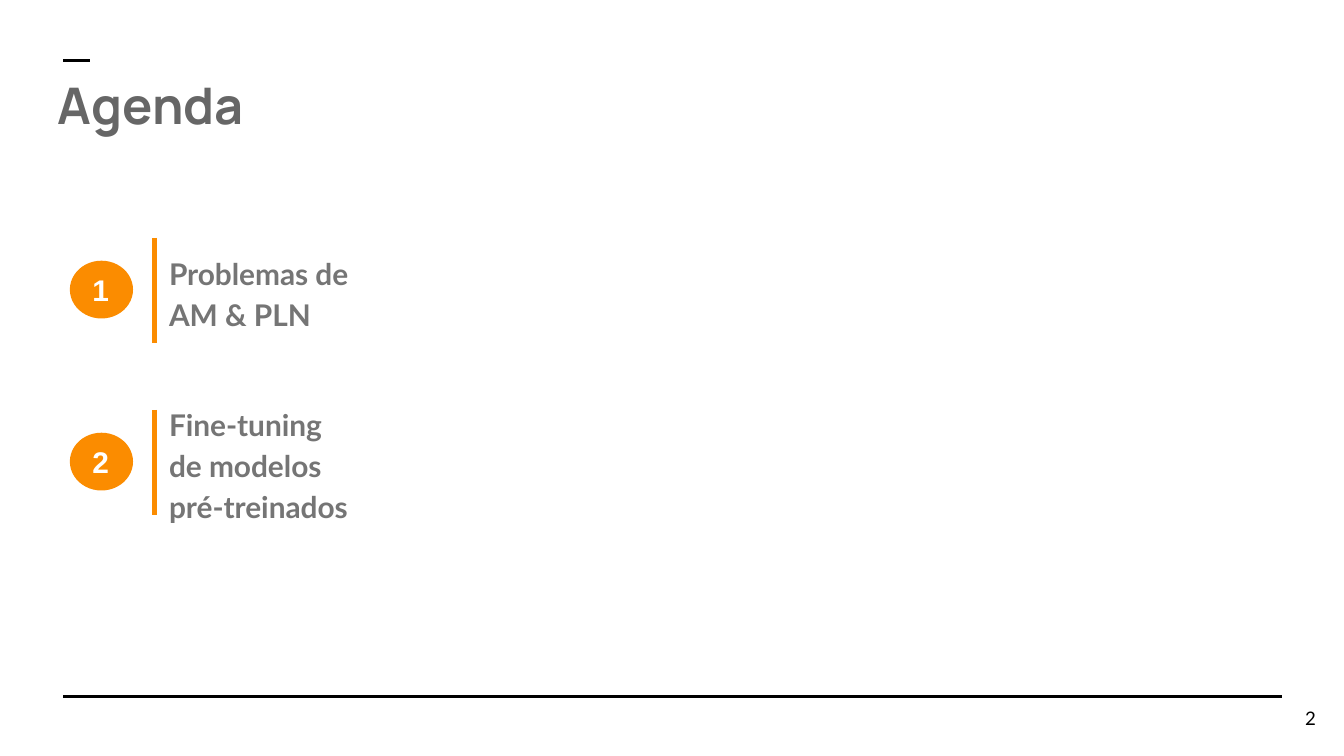
"""Build the agenda slide with two numbered topics."""
from lxml import etree
from pptx import Presentation
from pptx.dml.color import RGBColor
from pptx.enum import shapes, text
from pptx.oxml import ns
from pptx.util import Inches, Pt

COLORS = {
    "rule": "000000",
    "title": "666666",
    "topic": "757575",
    "accent": "FB8C00",
    "number": "FFFFFF",
}


def add_line(x1, y1, x2, y2, color, width):
    line = slide.shapes.add_connector(
        shapes.MSO_CONNECTOR.STRAIGHT, Inches(x1), Inches(y1), Inches(x2), Inches(y2)
    )
    line.line.color.rgb = RGBColor.from_string(COLORS[color])
    line.line.width = Pt(width)
    etree.SubElement(line._element.spPr, ns.qn("a:effectLst"))


def write(shape, words, font, size, color, bold=True, anchor="MIDDLE", align="LEFT"):
    frame = shape.text_frame
    frame.text = words
    frame.word_wrap = True
    frame.vertical_anchor = text.MSO_ANCHOR[anchor]
    frame.margin_left = frame.margin_right = Inches(0.1)
    frame.margin_top = frame.margin_bottom = Inches(0.1)
    paragraph = frame.paragraphs[0]
    paragraph.alignment = text.PP_ALIGN[align]
    run = paragraph.runs[0]
    run.font.name = font
    run.font.size = Pt(size)
    run.font.bold = bold
    run.font.color.rgb = RGBColor.from_string(COLORS[color])
    return paragraph


prs = Presentation()
prs.slide_width = Inches(10)
prs.slide_height = Inches(10 * 9 / 16)
slide = prs.slides.add_slide(prs.slide_layouts[6])

add_line(0.47, 5.18, 9.54, 5.18, "rule", 1.5)
add_line(0.47, 0.45, 0.67, 0.45, "rule", 1.5)

page_number = slide.shapes.add_textbox(Inches(9.29), Inches(5.13), Inches(0.6), Inches(0.43))
write(page_number, "2", "Lato", 10, "rule", bold=False, align="RIGHT")

title = slide.shapes.add_textbox(Inches(0.33), Inches(0.45), Inches(9.32), Inches(0.7))
write(title, "Agenda", "Manrope", 27, "title", anchor="TOP")

topics = [("Problemas de AM & PLN", 1.83), ("Fine-tuning de modelos pré-treinados", 1.54)]
for index, (topic, width) in enumerate(topics):
    top = 1.69 + index * 1.28
    add_line(1.15, top + 0.08, 1.15, top + 0.86, "accent", 3)

    label = slide.shapes.add_textbox(Inches(1.16), Inches(top), Inches(width), Inches(0.95))
    write(label, topic, "Lato", 16, "topic").line_spacing = 1.15

    badge = slide.shapes.add_shape(
        shapes.MSO_SHAPE.OVAL, Inches(0.52), Inches(top + 0.25), Inches(0.47), Inches(0.43)
    )
    badge.shadow.inherit = False
    badge.fill.solid()
    badge.fill.fore_color.rgb = RGBColor.from_string(COLORS["accent"])
    badge.line.fill.background()
    write(badge, str(index + 1), "Arial", 16, "number")

prs.save("out.pptx")
